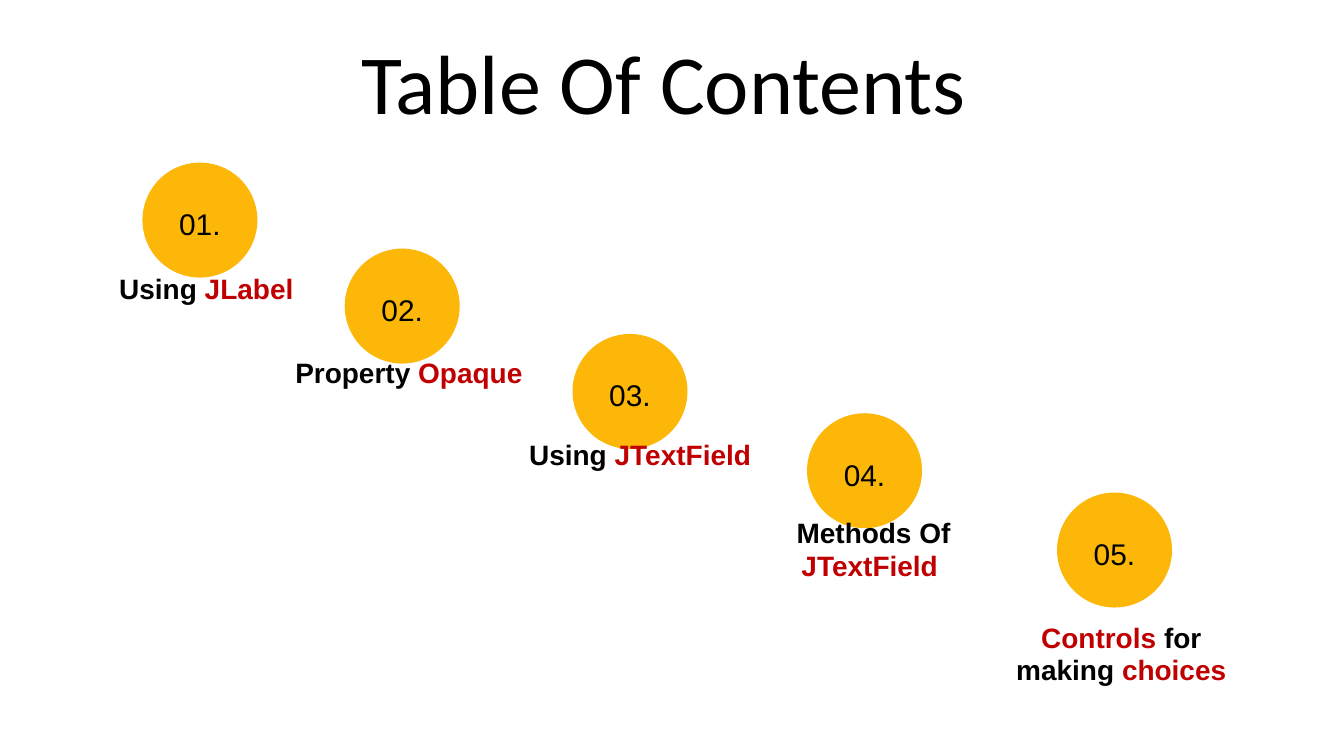
from pptx import Presentation
from pptx.dml.color import RGBColor
from pptx.enum.shapes import MSO_SHAPE
from pptx.enum.text import MSO_ANCHOR, PP_ALIGN
from pptx.util import Inches, Pt

OVAL = MSO_SHAPE.OVAL
MIDDLE = MSO_ANCHOR.MIDDLE
CENTER = PP_ALIGN.CENTER

COLORS = {"black": "000000", "red": "C00000", "amber": "FCB709"}
DIAMETER = 1.69
LABEL_INDENT = 0.21

# Circle left and top, label box, label insets (x, y), label runs
TOPICS = [
    ((2.13, 2.43), (0.52, 4.07, 4.89, 0.81), (0, 0),
     [("Using ", "black"), ("JLabel", "red")]),
    ((5.14, 3.71), (3.73, 5.32, 4.5, 0.81), (0, 0),
     [("Property ", "black"), ("Opaque", "red")]),
    ((8.53, 4.98), (5.98, 6.54, 6.88, 0.81), (0, 0),
     [("Using ", "black"), ("JTextField", "red")]),
    ((12.02, 6.16), (10.76, 7.71, 4.27, 1.34), (0, 0),
     [("Methods Of ", "black"), ("JTextField ", "red")]),
    ((15.74, 7.34), (14.51, 9.22, 4.14, 1.07), (0.1, 0.05),
     [("Controls ", "red"), ("for making ", "black"), ("choices", "red")]),
]


def rgb(name):
    return RGBColor.from_string(COLORS[name])


class ContentsSlide:
    def __init__(self, slide):
        self.slide = slide

    def add_text(self, tf, runs, size, font="Arial", bold=False, spacing=1.2):
        """Fill the first paragraph with (text, colour name) runs."""
        tf.word_wrap = True
        p = tf.paragraphs[0]
        p.alignment = CENTER
        p.line_spacing = spacing
        p.font.name = font
        p.font.size = Pt(size)
        p.font.bold = bold
        for text, color in runs:
            r = p.add_run()
            r.text = text
            r.font.color.rgb = rgb(color)

    def text_box(self, box, inset_x=0, inset_y=0, indent=0):
        tf = self.slide.shapes.add_textbox(*map(Inches, box)).text_frame
        tf.margin_left = Inches(inset_x + indent)
        tf.margin_right = Inches(inset_x)
        tf.margin_top = tf.margin_bottom = Inches(inset_y)
        return tf

    def title(self, text, box):
        self.add_text(self.text_box(box), [(text, "black")], 90, font="Calibri")

    def circle(self, number, left, top):
        size = Inches(DIAMETER)
        sp = self.slide.shapes.add_shape(
            OVAL, Inches(left), Inches(top), size, size)
        sp.shadow.inherit = False
        sp.fill.solid()
        sp.fill.fore_color.rgb = rgb("amber")
        sp.line.color.rgb = rgb("amber")
        sp.line.width = Pt(1.5)
        tf = sp.text_frame
        tf.vertical_anchor = MIDDLE
        tf.margin_left = tf.margin_right = Inches(0.06)
        tf.margin_top = tf.margin_bottom = Inches(0.06)
        self.add_text(tf, [(f"{number:02d}.", "black")], 32)

    def label(self, runs, box, insets):
        tf = self.text_box(box, *insets, indent=LABEL_INDENT)
        self.add_text(tf, runs, 30, bold=True, spacing=0.96)


def main():
    prs = Presentation()
    prs.slide_width = Inches(20)
    prs.slide_height = Inches(11.25)
    s = ContentsSlide(prs.slides.add_slide(prs.slide_layouts[6]))
    s.title("Table Of Contents", (0.85, 0.16, 18.05, 1.51))
    for number, (corner, box, insets, runs) in enumerate(TOPICS, start=1):
        s.circle(number, *corner)
        s.label(runs, box, insets)
    prs.save("out.pptx")


if __name__ == "__main__":
    main()
